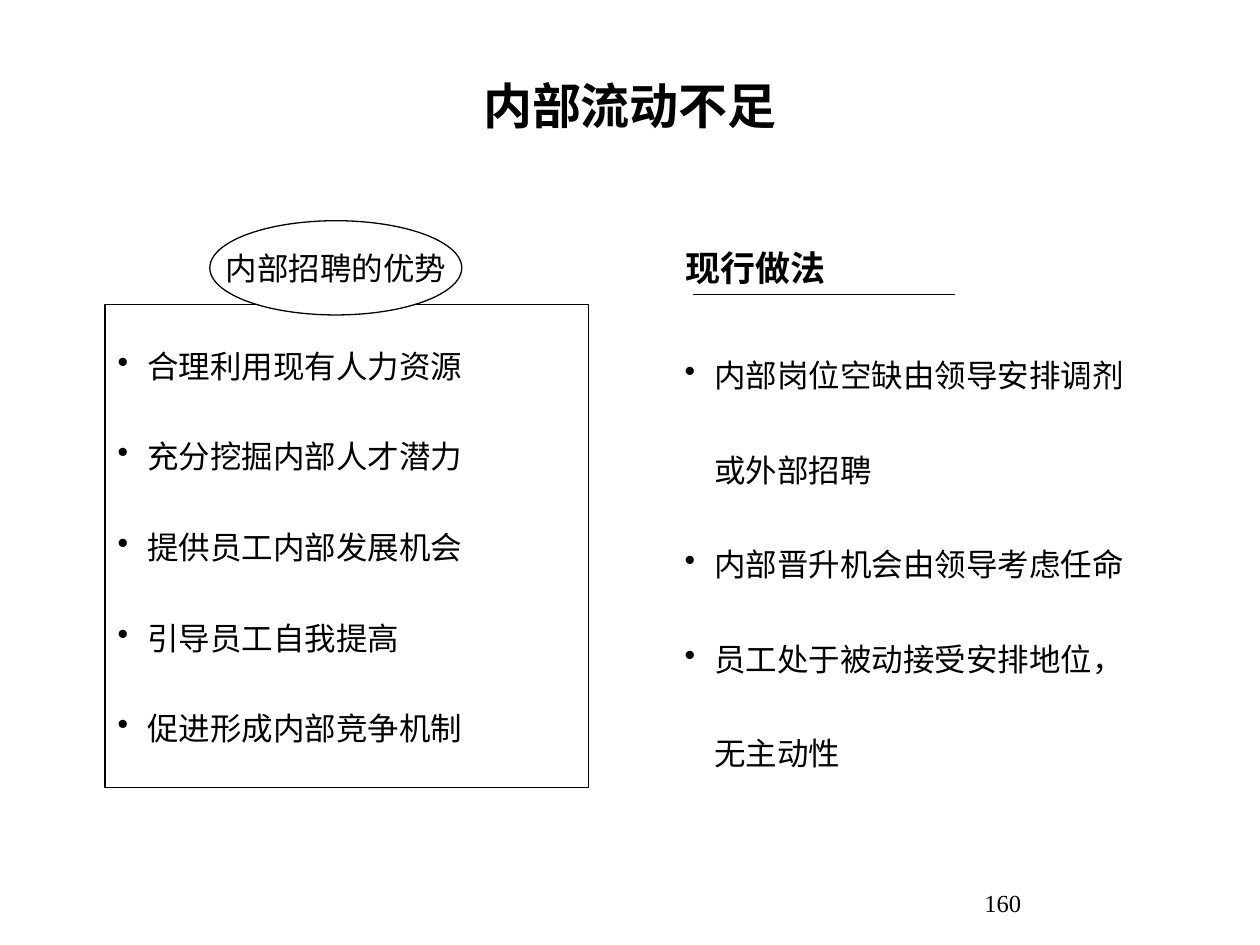
from lxml.etree import SubElement
from pptx import Presentation
from pptx.dml.color import RGBColor
from pptx.enum.shapes import MSO_CONNECTOR as Connector, MSO_SHAPE as Shape
from pptx.enum.text import MSO_ANCHOR as Anchor, PP_ALIGN as Align
from pptx.oxml.ns import qn
from pptx.util import Cm, Pt


def color(hex_string):
    return RGBColor.from_string(hex_string)


def add_bullet(paragraph, indent):
    properties = paragraph._p.get_or_add_pPr()
    properties.set("marL", str(indent))
    properties.set("indent", str(-indent))
    SubElement(properties, qn("a:buChar")).set("char", "•")


def write_text(frame, lines, size=18, bold=False, align=Align.CENTER,
               anchor=Anchor.MIDDLE, wrap=True, bullet_indent=None,
               spacing=None, first_spacing=None, font="Times New Roman", ink="000000"):
    frame.word_wrap = wrap
    frame.vertical_anchor = anchor
    for index, line in enumerate(lines):
        paragraph = frame.paragraphs[0] if index == 0 else frame.add_paragraph()
        paragraph.alignment = align
        line_spacing = first_spacing if index == 0 and first_spacing else spacing
        if line_spacing:
            paragraph.line_spacing = line_spacing
        if bullet_indent:
            add_bullet(paragraph, bullet_indent)
        run = paragraph.add_run()
        run.text = line
        run.font.name = font
        run.font.size = Pt(size)
        run.font.bold = bold
        run.font.color.rgb = color(ink)


class SlideBuilder:
    ink = "000000"
    paper = "FFFFFF"
    line_width = Pt(0.75)
    bullet_indent = Cm(0.6)

    def __init__(self, slide):
        self.slide = slide

    def text(self, box, content, **text_format):
        shape = self.slide.shapes.add_textbox(*map(Cm, box))
        write_text(shape.text_frame, [content], ink=self.ink, **text_format)

    def shape(self, kind, box, lines, outlined=True, **text_format):
        shape = self.slide.shapes.add_shape(kind, *map(Cm, box))
        shape.shadow.inherit = False
        shape.fill.solid()
        shape.fill.fore_color.rgb = color(self.paper)
        if outlined:
            shape.line.color.rgb = color(self.ink)
            shape.line.width = self.line_width
        else:
            shape.line.fill.background()
        write_text(shape.text_frame, lines, ink=self.ink, **text_format)
        return shape

    def bullet_list(self, box, lines, **options):
        return self.shape(Shape.RECTANGLE, box, lines, align=Align.LEFT,
                          bullet_indent=self.bullet_indent, **options)

    def heading(self, box, content, **options):
        self.shape(Shape.OVAL, box, [content], wrap=False, **options)

    def rule(self, left, right, top):
        line = self.slide.shapes.add_connector(
            Connector.STRAIGHT, Cm(left), Cm(top), Cm(right), Cm(top))
        line.line.color.rgb = color(self.ink)
        line.line.width = self.line_width
        SubElement(line._element.spPr, qn("a:effectLst"))


def main():
    presentation = Presentation()
    presentation.slide_width = Cm(25.4)
    presentation.slide_height = Cm(19.05)
    builder = SlideBuilder(presentation.slides.add_slide(presentation.slide_layouts[6]))

    # Title
    builder.text((1.9, 1.7, 21.6, 0.84), "内部流动不足", size=28, bold=True)

    # Current practice list
    builder.bullet_list((13.55, 5.93, 9.74, 9.74), [
        "内部岗位空缺由领导安排调剂或外部招聘",
        "内部晋升机会由领导考虑任命",
        "员工处于被动接受安排地位，无主动性",
    ], outlined=False, spacing=2.5)

    # Advantages list, starting just below its heading
    advantages = builder.bullet_list((2.12, 6.14, 9.74, 9.74), [
        "合理利用现有人力资源",
        "充分挖掘内部人才潜力",
        "提供员工内部发展机会",
        "引导员工自我提高",
        "促进形成内部竞争机制",
    ], anchor=Anchor.TOP, spacing=2.4, first_spacing=1.0)
    advantages.text_frame.margin_top = Cm(0.85)

    # Headings
    builder.heading((4.23, 4.45, 5.08, 1.9), "内部招聘的优势")
    builder.heading((12.7, 4.45, 5.08, 1.9), "现行做法",
                    outlined=False, size=20, bold=True)
    builder.rule(13.97, 19.26, 5.93)

    # Page number
    builder.text((16.3, 17.78, 7.83, 0.64), "160", size=14, anchor=Anchor.TOP)

    presentation.save("out.pptx")


if __name__ == "__main__":
    main()
